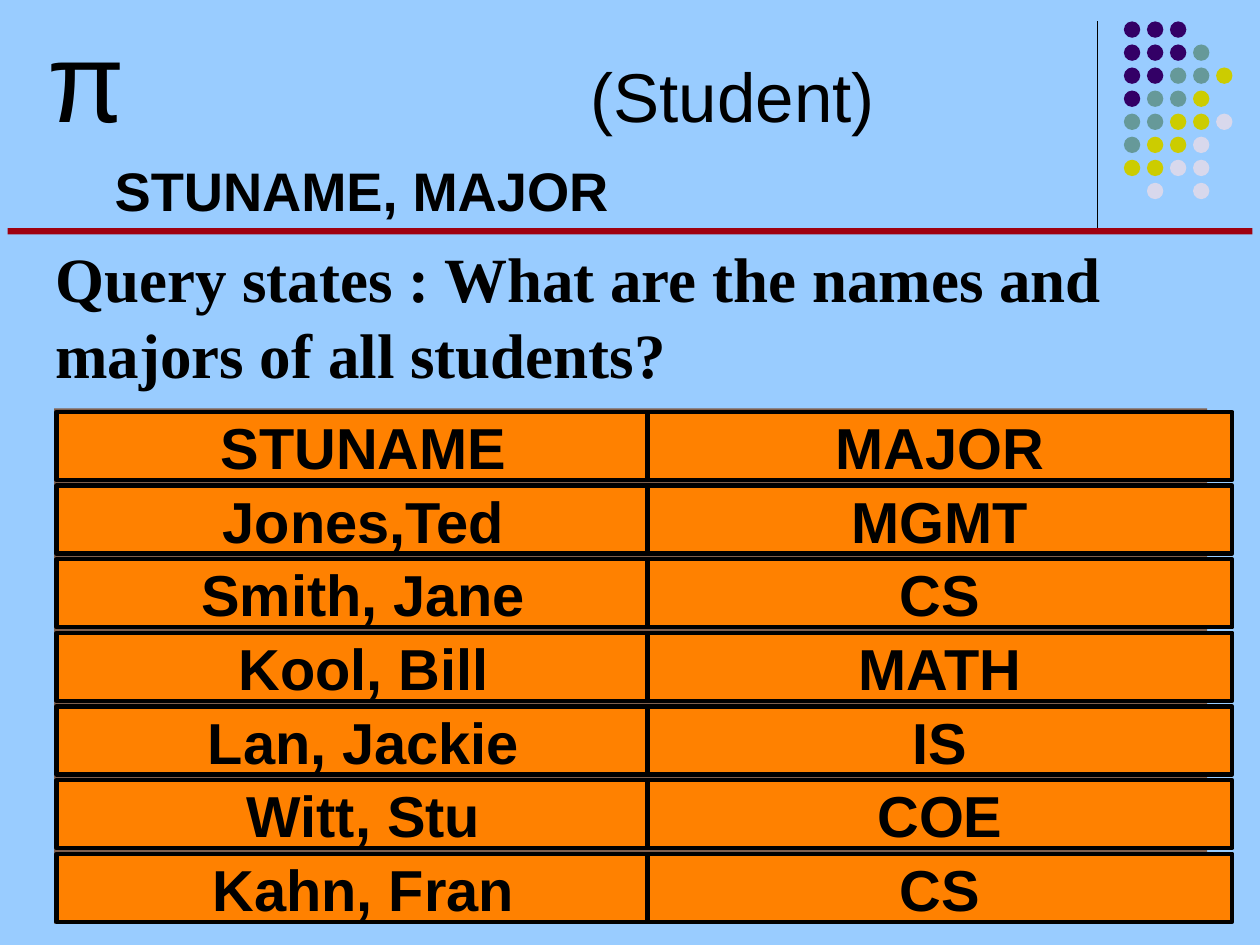
from dataclasses import dataclass

from pptx import Presentation
from pptx.dml.color import RGBColor
from pptx.enum import shapes, text
from pptx.oxml import ns, xmlchemy
from pptx.util import Inches, Pt


@dataclass(frozen=True)
class Theme:
    background: str = "99CCFF"
    ink: str = "000000"
    rule: str = "9F000F"
    table_back: str = "7F604F"
    cell: str = "FF8100"
    sans: str = "Arial"
    serif: str = "Times New Roman"
    symbol_size: float = 64.3
    relation_size: float = 39.5
    attributes_size: float = 31
    query_size: float = 36
    cell_size: float = 33
    cell_line: float = 2.47


THEME = Theme()
DOT_COLORS = {"p": "330066", "t": "669999", "y": "CCCC00", "l": "D8D8EC"}
DOT_ROWS = ["ppp", "pppt", "pptty", "ptty", "ttyyl", "tyyl", "yyll", " l l"]
STUDENTS = [
    ("STUNAME", "MAJOR"),
    ("Jones,Ted", "MGMT"),
    ("Smith, Jane", "CS"),
    ("Kool, Bill", "MATH"),
    ("Lan, Jackie", "IS"),
    ("Witt, Stu", "COE"),
    ("Kahn, Fran", "CS"),
]


def write(paragraph, content, size, font=THEME.sans, bold=False):
    run = paragraph.add_run()
    run.text = content
    run.font.size = Pt(size)
    run.font.name = font
    run.font.bold = bold
    run.font.color.rgb = RGBColor.from_string(THEME.ink)


def prepare_frame(shape):
    """Clear the margins, wrap from the top and return the first paragraph."""
    frame = shape.text_frame
    frame.margin_left = frame.margin_top = 0
    frame.margin_right = frame.margin_bottom = 0
    frame.word_wrap = True
    frame.vertical_anchor = text.MSO_ANCHOR.TOP
    return frame.paragraphs[0]


def add_text_box(slide, left, top, width, height):
    box = slide.shapes.add_textbox(
        Inches(left), Inches(top), Inches(width), Inches(height))
    return prepare_frame(box)


def add_filled(parent, kind, left, top, width, height, fill):
    shape = parent.shapes.add_shape(
        kind, Inches(left), Inches(top), Inches(width), Inches(height))
    shape.shadow.inherit = False
    shape.fill.solid()
    shape.fill.fore_color.rgb = RGBColor.from_string(fill)
    shape.line.fill.background()
    return shape


def add_square_cornered(slide, left, top, width, height, fill):
    panel = add_filled(slide, shapes.MSO_SHAPE.ROUNDED_RECTANGLE,
                       left, top, width, height, fill)
    panel.adjustments[0] = 0


def add_divider(slide, left, top, height):
    divider = slide.shapes.add_connector(
        shapes.MSO_CONNECTOR.STRAIGHT, Inches(left), Inches(top),
        Inches(left), Inches(top + height))
    divider.line.color.rgb = RGBColor.from_string(THEME.ink)
    divider.line.width = Pt(0.75)
    divider._element.spPr.append(xmlchemy.OxmlElement("a:effectLst"))


def add_dots(slide, left, top, pitch, diameter):
    group = slide.shapes.add_group_shape()
    for row, colors in enumerate(DOT_ROWS):
        for column, color in enumerate(colors):
            if color in DOT_COLORS:
                add_filled(group, shapes.MSO_SHAPE.OVAL,
                           left + column * pitch, top + row * pitch,
                           diameter, diameter, DOT_COLORS[color])


def add_projection(slide, left, top, width, height):
    """Projection symbol and relation, with the relation at a tab stop."""
    formula = add_text_box(slide, left, top, width, height)
    formula.line_spacing = 0.8
    tabs = xmlchemy.OxmlElement("a:tabLst")
    stop = xmlchemy.OxmlElement("a:tab")
    stop.set("pos", str(Inches(4.31)))
    stop.set("algn", "l")
    tabs.append(stop)
    formula._p.get_or_add_pPr().append(tabs)
    write(formula, "π\t", THEME.symbol_size)
    write(formula, "(Student)", THEME.relation_size)


def add_attributes(slide, left, top, width, height):
    attributes = add_text_box(slide, left, top, width, height)
    write(attributes, "STUNAME, MAJOR", THEME.attributes_size, bold=True)


def add_query(slide, left, top, width, height):
    query = add_text_box(slide, left, top, width, height)
    write(query, "Query states : What are the names and majors of all students?",
          THEME.query_size, font=THEME.serif, bold=True)


def add_students(slide, left, top, width, height):
    """Separate bordered cells; the second column overlaps the first."""
    add_square_cornered(slide, left, top, width, height, THEME.table_back)
    columns = [(left + 0.02, 4.87), (left + 4.71, 4.64)]
    row_pitch = height / len(STUDENTS)
    for row, student in enumerate(STUDENTS):
        for (cell_left, cell_width), value in zip(columns, student):
            cell = add_filled(slide, shapes.MSO_SHAPE.RECTANGLE, cell_left,
                              top + 0.03 + row * row_pitch,
                              cell_width, 0.54, THEME.cell)
            cell.line.color.rgb = RGBColor.from_string(THEME.ink)
            cell.line.width = Pt(THEME.cell_line)
            paragraph = prepare_frame(cell)
            paragraph.alignment = text.PP_ALIGN.CENTER
            write(paragraph, value, THEME.cell_size, bold=True)


def main():
    deck = Presentation()
    deck.slide_width, deck.slide_height = Inches(10), Inches(7.5)
    slide = deck.slides.add_slide(deck.slide_layouts[6])
    slide.background.fill.solid()
    slide.background.fill.fore_color.rgb = RGBColor.from_string(THEME.background)

    add_divider(slide, 8.71, 0.17, 1.66)
    add_dots(slide, 8.92, 0.17, pitch=0.183, diameter=0.13)
    add_square_cornered(slide, 0.06, 1.81, 9.88, 0.05, THEME.rule)
    add_projection(slide, 0.38, 0.29, 9.46, 1.43)
    add_attributes(slide, 0.91, 1.25, 5.61, 0.69)
    add_query(slide, 0.44, 1.9, 9.14, 1.18)
    add_students(slide, 0.43, 3.24, 9.15, 4.09)
    deck.save("out.pptx")


if __name__ == "__main__":
    main()
